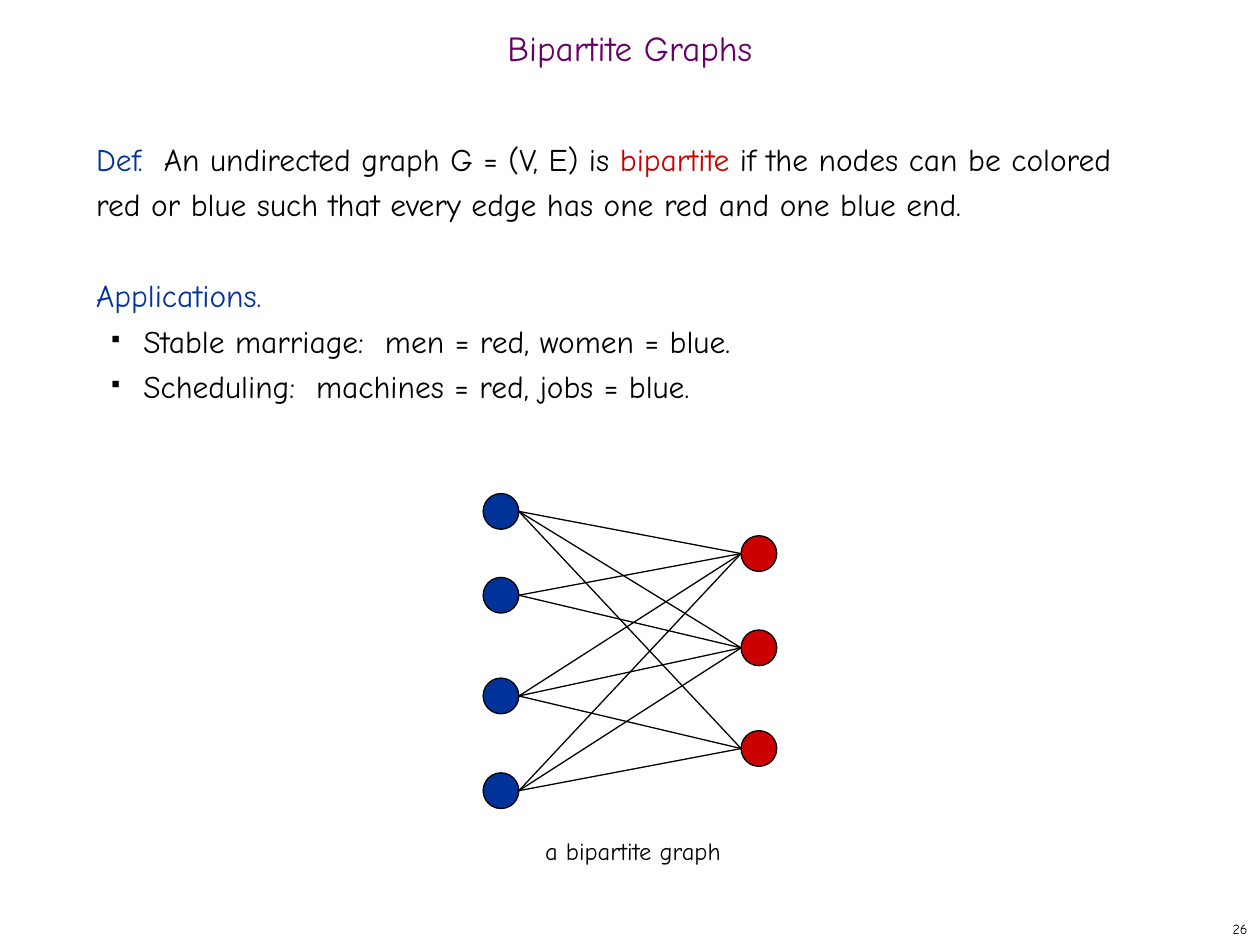
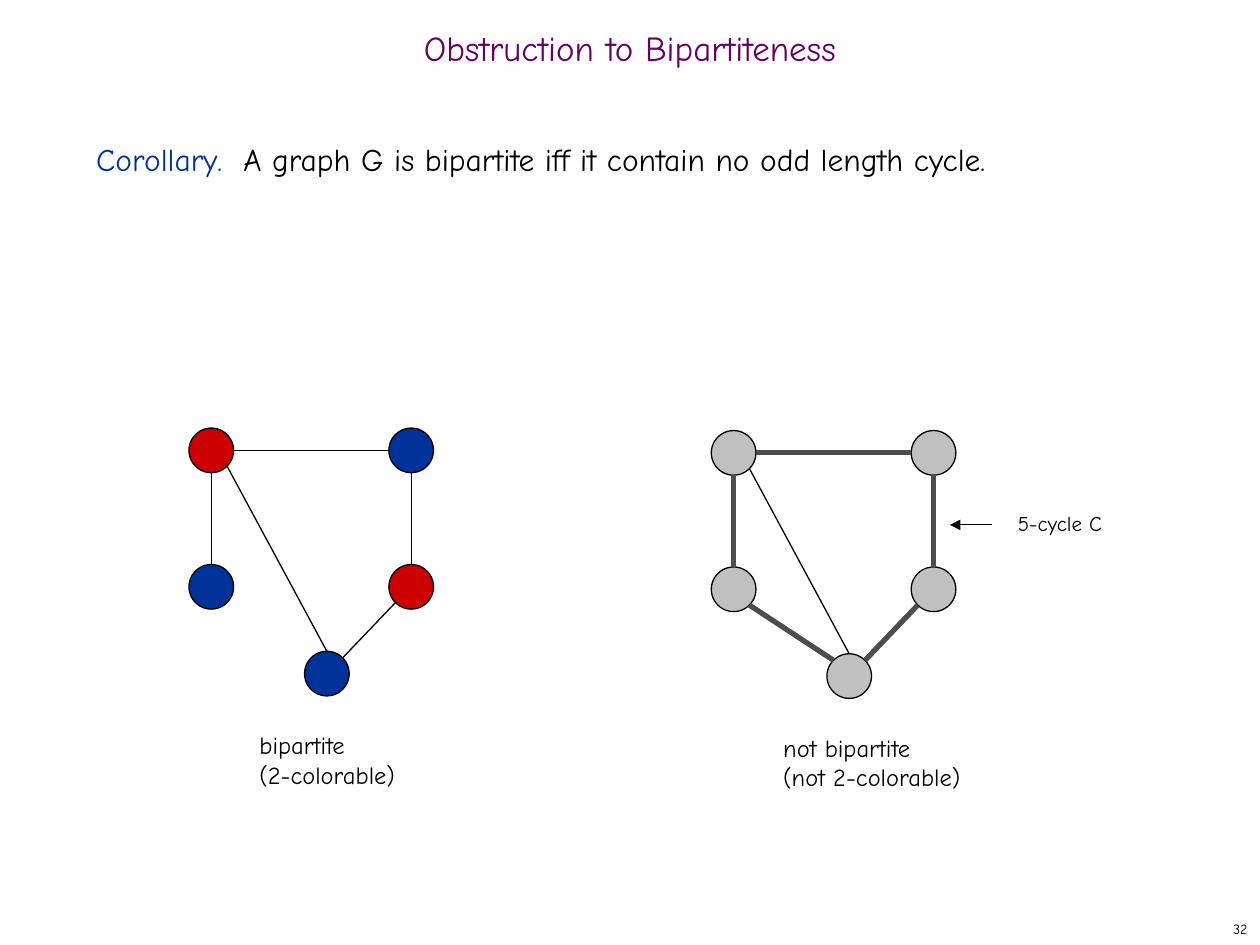
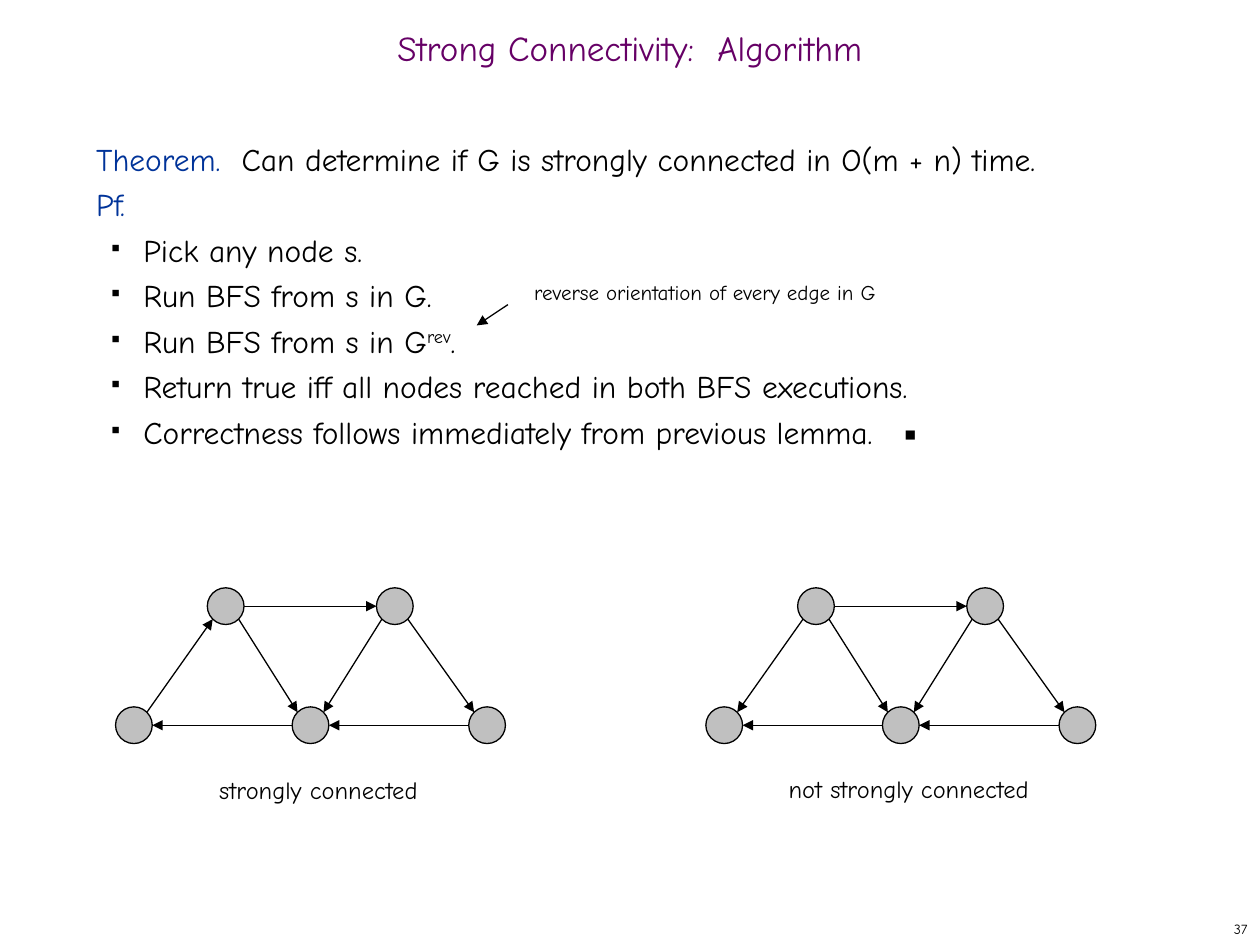
import math
from dataclasses import dataclass

import pptx
import pptx.dml.color
import pptx.enum.shapes
import pptx.enum.text
import pptx.oxml
import pptx.oxml.ns
import pptx.util

Cm, Pt = pptx.util.Cm, pptx.util.Pt
Align = pptx.enum.text.PP_ALIGN
Anchor = pptx.enum.text.MSO_ANCHOR
AutoSize = pptx.enum.text.MSO_AUTO_SIZE
qn = pptx.oxml.ns.qn


@dataclass(frozen=True)
class Theme:
    font: str = "Comic Neue"
    purple: str = "660066"
    blue: str = "003399"
    red: str = "CC0000"
    black: str = "000000"
    silver: str = "C0C0C0"
    gray: str = "4D4D4D"
    title_size: int = 20
    body_size: int = 18
    caption_size: int = 14
    note_size: int = 12
    number_size: int = 8
    body_leading: int = 26
    thin: float = 0.75
    thick: float = 3


THEME = Theme()

# ---- Content: boxes are (left, top, width, height) in cm ----
TITLE_BOX = (0, 0.42, 25.4, 1.27)
BODY_BOX = (1.69, 2.54, 21.8, 15.03)
NUMBER_BOX = (20.11, 18.42, 5.29, 0.63)

# Nodes are (left, top) within the graph; edges are (node, site, node, site)
BIPARTITE_NODES = {
    "L1": (0, 0), "L2": (0, 1.69), "L3": (0, 3.72), "L4": (0, 5.63),
    "R1": (5.2, 0.85), "R2": (5.2, 2.75), "R3": (5.2, 4.78),
}
BIPARTITE_LINKS = {
    "L1": ("R1", "R2", "R3"), "L2": ("R1", "R2"),
    "L3": ("R1", "R2", "R3"), "L4": ("R1", "R2", "R3"),
}
BIPARTITE_EDGES = [(left, "right", right, "left")
                   for left, ends in BIPARTITE_LINKS.items() for right in ends]
BIPARTITE_FILLS = {node: THEME.blue if node[0] == "L" else THEME.red
                   for node in BIPARTITE_NODES}

CYCLE_NODES = {"A": (0, 0), "B": (4.03, 0), "C": (0, 2.75),
               "D": (4.03, 2.75), "E": (2.33, 4.5)}
CHORD = ("E", "top", "A", "lower right")
SHARED_CYCLE_EDGES = [
    ("A", "right", "B", "left"), ("D", "top", "B", "bottom"),
    ("C", "top", "A", "bottom"), ("E", "upper right", "D", "lower left"),
]
FIFTH_EDGE = ("C", "lower right", "E", "upper left")
TWO_COLORING = {"A": THEME.red, "B": THEME.blue, "C": THEME.blue,
                "D": THEME.red, "E": THEME.blue}

DIRECTED_NODES = {"A": (1.85, 0), "B": (5.26, 0), "C": (0, 2.4),
                  "D": (3.56, 2.4), "E": (7.12, 2.4)}
SHARED_DIRECTED_EDGES = [
    ("A", "lower right", "D", "upper left"), ("A", "right", "B", "left"),
    ("B", "lower right", "E", "upper left"), ("E", "left", "D", "right"),
    ("D", "left", "C", "right"), ("B", "lower left", "D", "upper right"),
]
UP_EDGE = ("C", "upper right", "A", "lower left")
DOWN_EDGE = ("A", "lower left", "C", "upper right")

# Body paragraphs are (kind, spans); a span is a string or (string, format)
BLUE, RED = {"color": THEME.blue}, {"color": THEME.red}
SLIDES = [
    {
        "title": "Bipartite Graphs",
        "number": "26",
        "body": [
            ("plain", [("Def.  ", BLUE), "An undirected graph G = (V, E) is ", ("bipartite", RED),
                       " if the nodes can be colored red or blue such that every edge has "
                       "one red and one blue end."]),
            ("section", [("Applications.", BLUE)]),
            ("bullet", ["Stable marriage:  men = red, women = blue."]),
            ("bullet", ["Scheduling:  machines = red, jobs = blue."]),
        ],
        "graphs": [
            {"origin": (9.74, 9.95), "diameter": 0.72, "nodes": BIPARTITE_NODES,
             "fills": BIPARTITE_FILLS, "edges": BIPARTITE_EDGES},
        ],
        "captions": [("a bipartite graph", (10.74, 16.72, 4.09, 0.85), THEME.caption_size)],
    },
    {
        "title": "Obstruction to Bipartiteness",
        "number": "32",
        "body": [
            ("plain", [("Corollary.  ", BLUE),
                       "A graph G is bipartite iff it contain no odd length cycle."]),
        ],
        "graphs": [
            {"origin": (14.34, 8.68), "diameter": 0.9, "nodes": CYCLE_NODES,
             "edges": [CHORD], "cycle": SHARED_CYCLE_EDGES + [FIFTH_EDGE]},
            {"origin": (3.81, 8.63), "diameter": 0.9, "nodes": CYCLE_NODES,
             "fills": TWO_COLORING, "edges": SHARED_CYCLE_EDGES + [CHORD]},
        ],
        "captions": [
            ("5-cycle C", (20.27, 10.16, 2.21, 0.76), THEME.note_size),
            ("bipartite\n(2-colorable)", (4.98, 14.6, 3.25, 1.45), THEME.caption_size),
            ("not bipartite\n(not 2-colorable)", (15.54, 14.65, 4.11, 1.45),
             THEME.caption_size),
        ],
        "pointer": ((19.99, 10.58), (19.15, 10.58)),
    },
    {
        "title": "Strong Connectivity:  Algorithm",
        "number": "37",
        "body": [
            ("plain", [("Theorem.  ", BLUE),
                       "Can determine if G is strongly connected in O(m + n) time."]),
            ("plain", [("Pf.", BLUE)]),
            ("bullet", ["Pick any node s."]),
            ("bullet", ["Run BFS from s in G."]),
            ("bullet", ["Run BFS from s in G", ("rev", {"superscript": True}), "."]),
            ("bullet", ["Return true iff all nodes reached in both BFS executions."]),
            ("bullet", ["Correctness follows immediately from previous lemma.   ▪"]),
        ],
        "graphs": [
            {"origin": (14.23, 11.85), "diameter": 0.74, "nodes": DIRECTED_NODES,
             "edges": SHARED_DIRECTED_EDGES + [DOWN_EDGE], "arrow": True},
            {"origin": (2.33, 11.85), "diameter": 0.74, "nodes": DIRECTED_NODES,
             "edges": SHARED_DIRECTED_EDGES + [UP_EDGE], "arrow": True},
        ],
        "captions": [
            ("reverse orientation of every edge in G", (10.52, 5.51, 7.44, 0.76),
             THEME.note_size),
            ("strongly connected", (4.17, 15.49, 4.55, 0.85), THEME.caption_size),
            ("not strongly connected", (15.65, 15.47, 5.38, 0.85), THEME.caption_size),
        ],
        "pointer": ((10.24, 6.14), (9.61, 6.56)),
    },
]

# ---- Text ----
SITES = ("right", "lower right", "bottom", "lower left",
         "left", "upper left", "top", "upper right")


def rgb(color):
    return pptx.dml.color.RGBColor.from_string(color)


def place(shape, box):
    shape.left, shape.top, shape.width, shape.height = map(Cm, box)


def add_text(paragraph, text, *, size, color=THEME.black, superscript=False):
    for index, line in enumerate(text.split("\n")):
        if index:
            paragraph.add_line_break()
        run = paragraph.add_run()
        run.text = line
        run.font.name, run.font.size = THEME.font, Pt(size)
        run.font.color.rgb = rgb(color)
        if superscript:
            run._r.get_or_add_rPr().set("baseline", "30000")


def add_label(slide, text, box, *, size, align=Align.LEFT, anchor=Anchor.TOP, fit=False):
    label = slide.shapes.add_textbox(*map(Cm, box))
    frame = label.text_frame
    frame.word_wrap = not fit
    frame.auto_size = AutoSize.SHAPE_TO_FIT_TEXT if fit else AutoSize.NONE
    frame.vertical_anchor = anchor
    frame.paragraphs[0].alignment = align
    add_text(frame.paragraphs[0], text, size=size)


def add_bullet(paragraph):
    properties = paragraph._p.get_or_add_pPr()
    properties.set("marL", str(Cm(0.95)))
    properties.set("indent", str(-Cm(0.64)))
    namespace = pptx.oxml.ns.nsdecls("a")
    for markup in (f'<a:buClr {namespace}><a:srgbClr val="{THEME.black}"/></a:buClr>',
                   f'<a:buSzPct {namespace} val="35000"/>',
                   f'<a:buChar {namespace} char="■"/>'):
        properties.append(pptx.oxml.parse_xml(markup))


def add_title(slide, text):
    title = slide.shapes.title
    place(title, TITLE_BOX)
    frame = title.text_frame
    frame.auto_size = AutoSize.NONE
    frame.vertical_anchor = Anchor.MIDDLE
    paragraph = frame.paragraphs[0]
    paragraph.alignment, paragraph.line_spacing = Align.CENTER, 0.7
    add_text(paragraph, text, size=THEME.title_size, color=THEME.purple)


def add_body(slide, body):
    frame = slide.shapes.add_textbox(*map(Cm, BODY_BOX)).text_frame
    frame.word_wrap = True
    for index, (kind, spans) in enumerate(body):
        paragraph = frame.add_paragraph() if index else frame.paragraphs[0]
        paragraph.line_spacing = Pt(THEME.body_leading)
        if kind == "section":
            paragraph.space_before = Pt(THEME.body_leading)
        if kind == "bullet":
            add_bullet(paragraph)
        for span in spans:
            text, style = (span, {}) if isinstance(span, str) else span
            add_text(paragraph, text, size=THEME.body_size, **style)


# ---- Graphs ----
def add_line(slide, start, end, *, color=THEME.black, width=THEME.thin, arrow=False):
    line = slide.shapes.add_connector(
        pptx.enum.shapes.MSO_CONNECTOR.STRAIGHT, *map(Cm, (*start, *end)))
    line.line.color.rgb, line.line.width = rgb(color), Pt(width)
    properties = line._element.spPr
    namespace = pptx.oxml.ns.nsdecls("a")
    if arrow:
        properties.find(qn("a:ln")).append(
            pptx.oxml.parse_xml(f'<a:tailEnd {namespace} type="triangle"/>'))
    properties.append(pptx.oxml.parse_xml(f"<a:effectLst {namespace}/>"))


def add_graph(slide, *, origin, diameter, nodes, edges, fills=None, cycle=(), arrow=False):
    corners = {name: (origin[0] + x, origin[1] + y) for name, (x, y) in nodes.items()}

    def site_point(name, site):
        angle = SITES.index(site) * math.pi / 4
        left, top = corners[name]
        radius = diameter / 2
        return (left + radius * (1 + math.cos(angle)), top + radius * (1 + math.sin(angle)))

    for name, corner in corners.items():
        node = slide.shapes.add_shape(pptx.enum.shapes.MSO_SHAPE.OVAL,
                                      *map(Cm, (*corner, diameter, diameter)))
        node.shadow.inherit = False
        node.fill.solid()
        node.fill.fore_color.rgb = rgb(fills[name] if fills else THEME.silver)
        node.line.color.rgb, node.line.width = rgb(THEME.black), Pt(THEME.thin)
    for group, style in ((edges, {"arrow": arrow}),
                         (cycle, {"color": THEME.gray, "width": THEME.thick})):
        for first, first_site, last, last_site in group:
            add_line(slide, site_point(first, first_site), site_point(last, last_site), **style)


# ---- Slides ----
def main():
    presentation = pptx.Presentation()
    presentation.slide_width, presentation.slide_height = Cm(25.4), Cm(19.05)
    title_only = presentation.slide_layouts[5]
    for content in SLIDES:
        slide = presentation.slides.add_slide(title_only)
        add_title(slide, content["title"])
        add_body(slide, content["body"])
        for graph in content["graphs"]:
            add_graph(slide, **graph)
        for text, box, size in content["captions"]:
            add_label(slide, text, box, size=size, fit=True)
        if "pointer" in content:
            add_line(slide, *content["pointer"], arrow=True)
        add_label(slide, content["number"], NUMBER_BOX, size=THEME.number_size,
                  align=Align.RIGHT, anchor=Anchor.MIDDLE)
    presentation.save("out.pptx")


if __name__ == "__main__":
    main()
